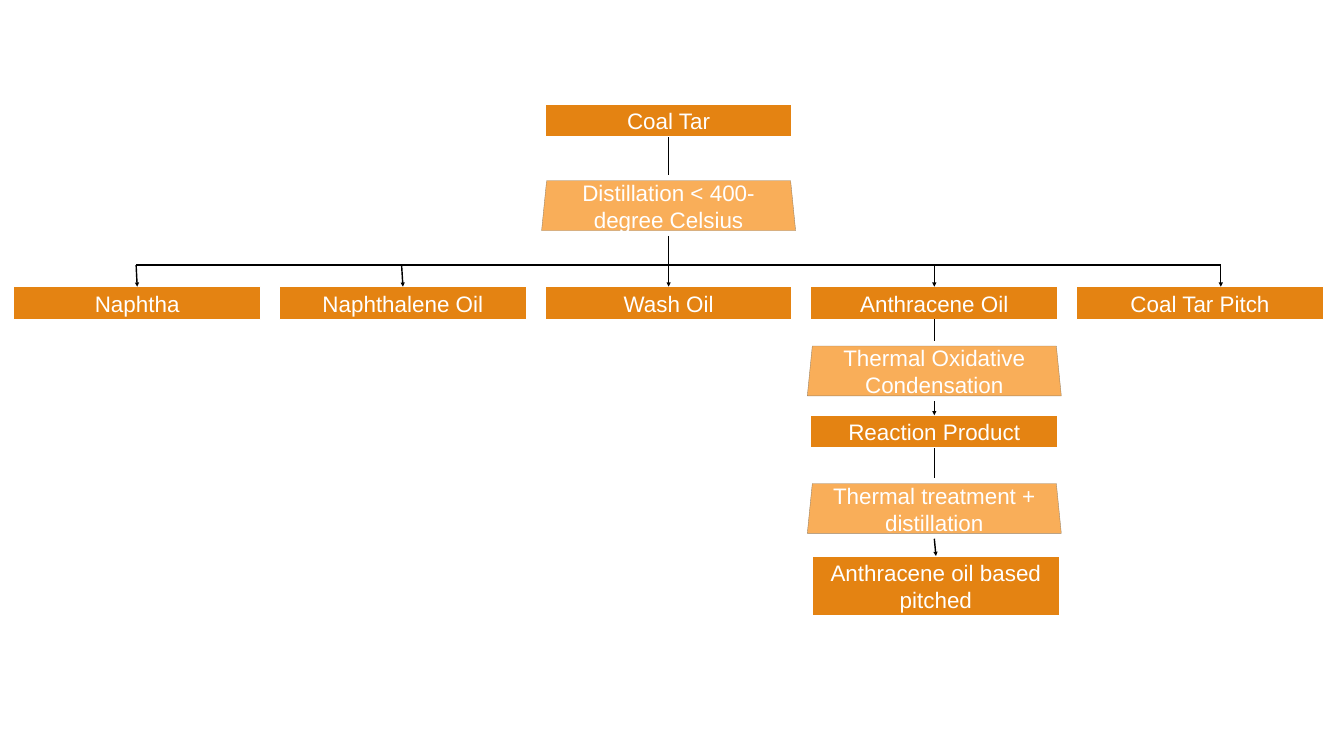
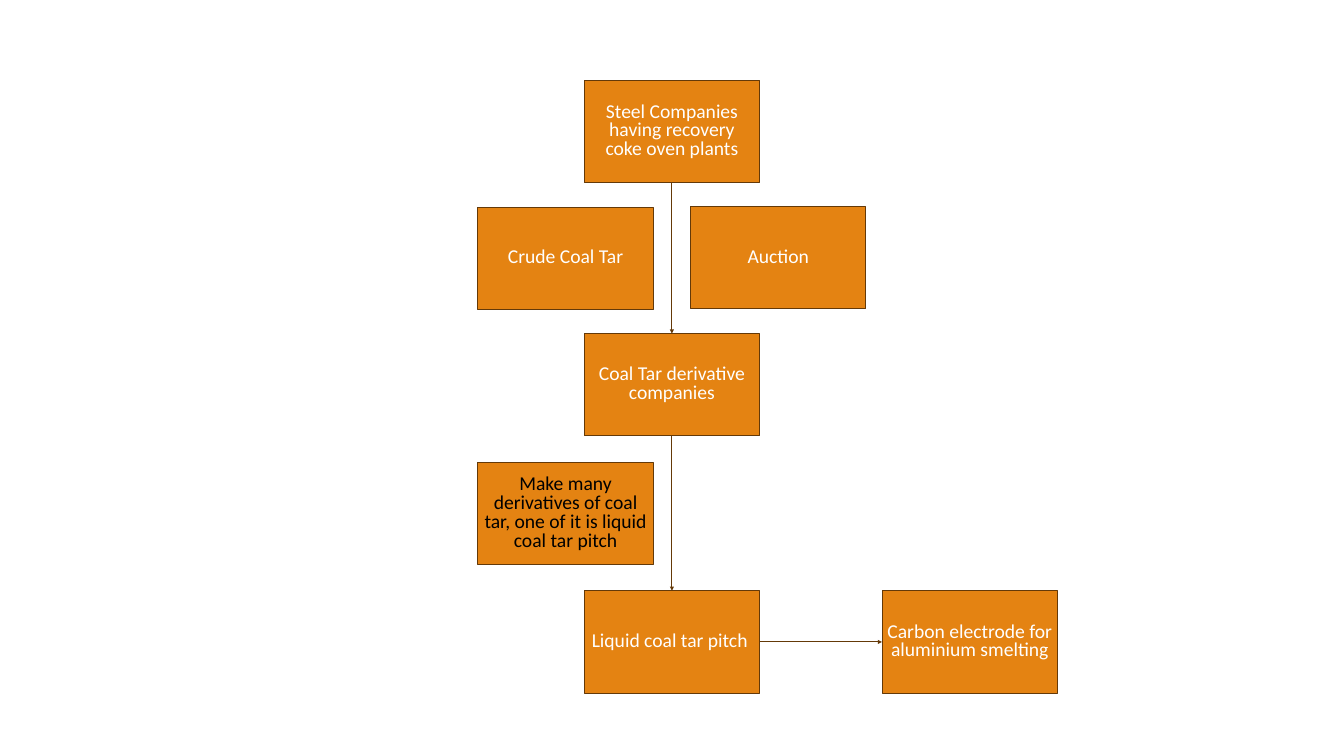
from dataclasses import dataclass
from lxml.etree import SubElement
from pptx import Presentation
from pptx.dml.color import RGBColor
from pptx.enum.shapes import MSO_CONNECTOR, MSO_SHAPE
from pptx.enum.text import MSO_ANCHOR, PP_ALIGN
from pptx.oxml.ns import qn
from pptx.shapes.autoshape import Shape
from pptx.shapes.connector import Connector
from pptx.slide import Slide
from pptx.util import Cm, Pt

ORANGE, LIGHT_ORANGE, BROWN, TAN = "E48312", "F9AE59", "643908", "9A8264"
WHITE, BLACK = "FFFFFF", "000000"
TOP, LEFT, BOTTOM, RIGHT = range(4)


@dataclass(frozen=True)
class BoxStyle:
    width: float
    height: float
    font: str
    size: int
    outline: str
    outline_width: float
    inset: float
    spacing: float
    fill: str = ORANGE
    preset: MSO_SHAPE = MSO_SHAPE.RECTANGLE


@dataclass(frozen=True)
class Box:
    text: str
    left: float
    top: float
    color: str = WHITE


@dataclass(frozen=True)
class LineStyle:
    color: str
    width: float


PRODUCT = BoxStyle(12.45, 1.65, "Arial", 32, WHITE, 2, 0.15, 1)
TALL_PRODUCT = BoxStyle(12.45, 3.02, "Arial", 32, WHITE, 2, 0.15, 1)
PROCESS = BoxStyle(12.8, 2.51, "Arial", 32, TAN, 0.5, 0.15, 1, LIGHT_ORANGE, MSO_SHAPE.TRAPEZOID)
STAGE = BoxStyle(8.84, 5.16, "Calibri", 28, BROWN, 1.25, 0.25, 0.8)
FLOW = LineStyle(BLACK, 2)
SUPPLY = LineStyle(BROWN, 1.25)

FRACTIONS = ["Naphtha", "Naphthalene Oil", "Wash Oil", "Anthracene Oil", "Coal Tar Pitch"]
FRACTION_LEFT, FRACTION_PITCH, FRACTION_TOP = 0.69, 13.39, 14.45
BUS_TOP, BUS_START, BUS_END = 13.36, 6.86, 61.52
PROCESS_GAP = 0.27


def rgb(color: str) -> RGBColor:
    return RGBColor.from_string(color)


def column_left(column: int) -> float:
    return FRACTION_LEFT + FRACTION_PITCH * column


def column_middle(column: int) -> float:
    return column_left(column) + PRODUCT.width / 2


def draw_box(slide: Slide, box: Box, style: BoxStyle) -> Shape:
    shape = slide.shapes.add_shape(
        style.preset, Cm(box.left), Cm(box.top), Cm(style.width), Cm(style.height)
    )
    if style.preset == MSO_SHAPE.TRAPEZOID:
        shape.adjustments[0] = 0.1
    shape.shadow.inherit = False
    shape.fill.solid()
    shape.fill.fore_color.rgb = rgb(style.fill)
    shape.line.color.rgb = rgb(style.outline)
    shape.line.width = Pt(style.outline_width)
    frame = shape.text_frame
    frame.text = box.text
    paragraph = frame.paragraphs[0]
    font = paragraph.runs[0].font
    font.color.rgb = rgb(box.color)
    inset = Cm(style.inset)
    vertical_inset = Cm(min(style.inset, 0.15))
    formats = [
        (frame, {"word_wrap": True, "vertical_anchor": MSO_ANCHOR.MIDDLE,
                 "margin_left": inset, "margin_right": inset,
                 "margin_top": vertical_inset, "margin_bottom": vertical_inset}),
        (paragraph, {"alignment": PP_ALIGN.CENTER, "line_spacing": float(style.spacing)}),
        (font, {"name": style.font, "size": Pt(style.size)}),
    ]
    for target, values in formats:
        for attribute, value in values.items():
            setattr(target, attribute, value)
    return shape


def draw_line(slide: Slide, start: tuple[float, float], end: tuple[float, float],
              style: LineStyle, arrow: bool = False) -> Connector:
    line = slide.shapes.add_connector(
        MSO_CONNECTOR.STRAIGHT, *(Cm(value) for value in (*start, *end))
    )
    line.line.color.rgb = rgb(style.color)
    line.line.width = Pt(style.width)
    properties = line.element.spPr
    if arrow:
        SubElement(properties.find(qn("a:ln")), qn("a:tailEnd"), type="triangle")
    SubElement(properties, qn("a:effectLst"))
    return line


def join_boxes(slide: Slide, source: Shape, source_side: int, target: Shape, target_side: int) -> None:
    line = draw_line(slide, (0, 0), (0, 0), SUPPLY, arrow=True)
    line.begin_connect(source, source_side)
    line.end_connect(target, target_side)


def draw_process(slide: Slide, text: str, column: int, top: float, source: Shape) -> float:
    middle = column_middle(column)
    draw_box(slide, Box(text, middle - PROCESS.width / 2, top + PROCESS_GAP), PROCESS)
    inflow = draw_line(slide, (middle, top), (middle, top), FLOW)
    inflow.begin_connect(source, BOTTOM)
    return top + PROCESS.height + 2 * PROCESS_GAP


def draw_outflow(slide: Slide, column: int, top: float, target: Shape) -> None:
    middle = column_middle(column)
    draw_line(slide, (middle, top), (middle, top), FLOW, arrow=True).end_connect(target, TOP)


def build_distillation(slide: Slide) -> None:
    coal_tar = draw_box(slide, Box("Coal Tar", column_left(2), 5.26), PRODUCT)
    fractions = [
        draw_box(slide, Box(text, column_left(column), FRACTION_TOP), PRODUCT)
        for column, text in enumerate(FRACTIONS)
    ]
    reaction = draw_box(slide, Box("Reaction Product", column_left(3), 20.93), PRODUCT)
    pitched = draw_box(slide, Box("Anthracene oil based pitched", 40.94, 28.02), TALL_PRODUCT)

    distilled = draw_process(slide, "Distillation < 400-degree Celsius", 2, 8.84, coal_tar)
    draw_outflow(slide, 2, distilled, fractions[2])
    condensed = draw_process(slide, "Thermal Oxidative Condensation", 3, 17.17, fractions[3])
    draw_outflow(slide, 3, condensed, reaction)
    treated = draw_process(slide, "Thermal treatment + distillation", 3, 24.1, reaction)
    draw_outflow(slide, 3, treated, pitched)

    draw_line(slide, (BUS_START, BUS_TOP), (BUS_END, BUS_TOP), FLOW)
    for column, start in ((0, BUS_START), (1, 20.24), (3, column_middle(3))):
        branch = draw_line(slide, (start, BUS_TOP), (start, FRACTION_TOP), FLOW, arrow=True)
        branch.end_connect(fractions[column], TOP)
    draw_line(slide, (BUS_END, BUS_TOP), (BUS_END, FRACTION_TOP), FLOW, arrow=True)


def build_supply_chain(slide: Slide) -> None:
    main_left, side_left = 29.44, 24.08
    steel, derivative, liquid, electrode = (
        draw_box(slide, box, STAGE)
        for box in (
            Box("Steel Companies having recovery coke oven plants", main_left, 4.04),
            Box("Coal Tar derivative companies", main_left, 16.81),
            Box("Liquid coal tar pitch ", main_left, 29.77),
            Box("Carbon electrode for aluminium smelting", 44.45, 29.77),
        )
    )
    for note in (
        Box("Crude Coal Tar", side_left, 10.44),
        Box("Auction", 34.8, 10.41),
        Box("Make many derivatives of coal tar, one of it is liquid coal tar pitch",
            side_left, 23.29, BLACK),
    ):
        draw_box(slide, note, STAGE)
    join_boxes(slide, steel, BOTTOM, derivative, TOP)
    join_boxes(slide, derivative, BOTTOM, liquid, TOP)
    join_boxes(slide, liquid, RIGHT, electrode, LEFT)


def main() -> None:
    presentation = Presentation()
    presentation.slide_width, presentation.slide_height = Cm(67.73), Cm(38.1)
    blank = presentation.slide_layouts[6]
    for build in (build_distillation, build_supply_chain):
        build(presentation.slides.add_slide(blank))
    presentation.save("out.pptx")


if __name__ == "__main__":
    main()
